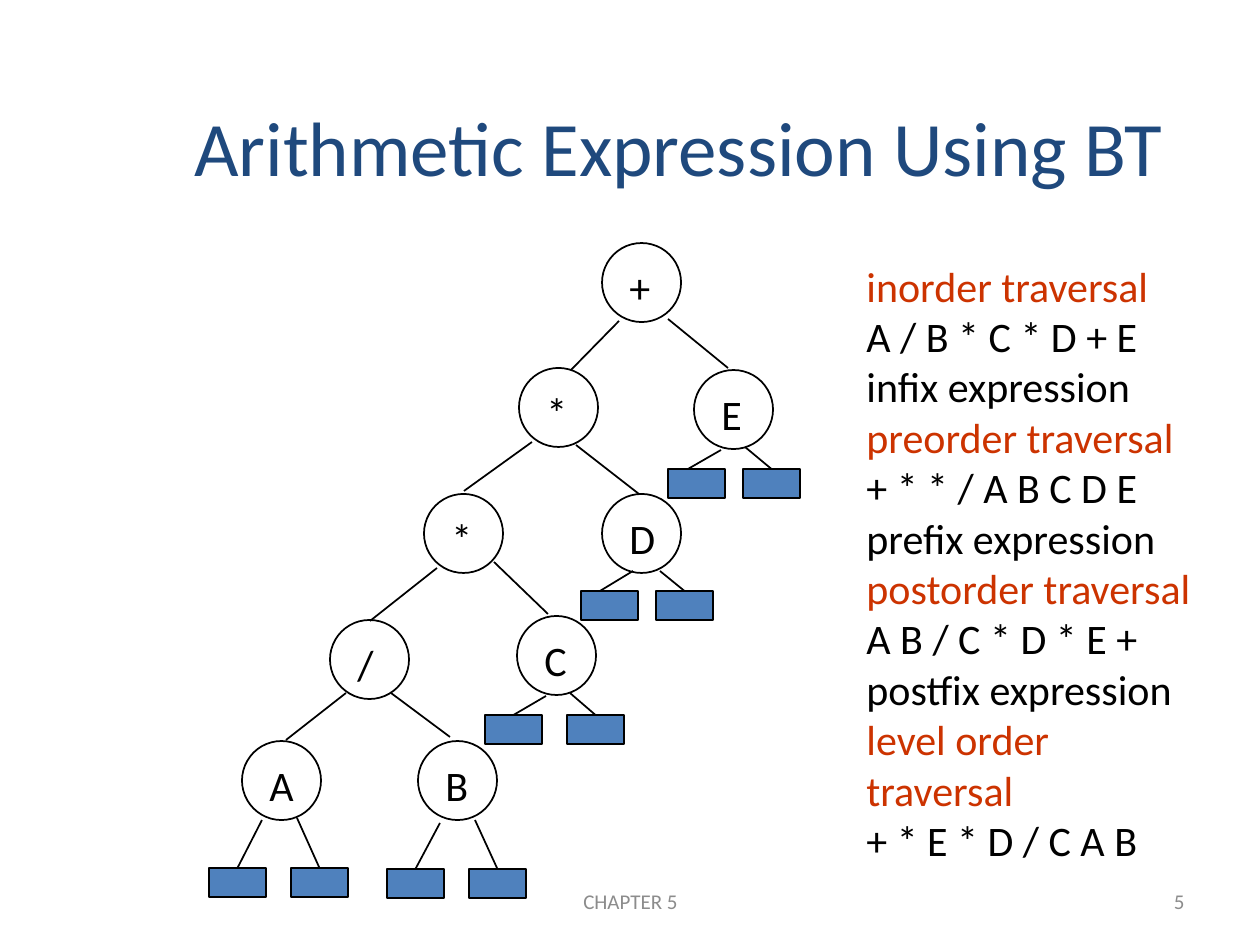
from lxml import etree
from pptx import Presentation
from pptx import util as u
from pptx.dml.color import RGBColor
from pptx.enum import shapes, text
from pptx.oxml.ns import qn

PX = 914400 / 126
BLACK = RGBColor(0x00, 0x00, 0x00)
BLUE = RGBColor(0x4F, 0x81, 0xBD)
NAVY = RGBColor(0x1F, 0x49, 0x7D)
RED = RGBColor(0xCC, 0x33, 0x00)
GRAY = RGBColor(0x8C, 0x8C, 0x8C)
LEFT, CENTER, RIGHT = (text.PP_ALIGN.LEFT, text.PP_ALIGN.CENTER,
                       text.PP_ALIGN.RIGHT)

NODE = 79
LEAF_W, LEAF_H = 57, 29

# label, left, top, width of the label box
NODES = [
    ("+", 602, 243, 49), ("*", 519, 368, 47), ("A", 242, 741, 55),
    ("*", 424, 494, 47), ("/", 330, 620, 37), ("E", 694, 370, 50),
    ("D", 602, 494, 55), ("C", 517, 616, 53), ("B", 418, 741, 53),
]

# x, y at the parent, then x, y at the child
EDGES = [
    (619, 321, 571, 370), (346, 693, 286, 740), (532, 442, 464, 491),
    (437, 568, 370, 621), (668, 319, 728, 368), (576, 445, 639, 494),
    (494, 562, 548, 614), (391, 693, 450, 737),
]

# left, top, x and y of the edge's start, x of its end (None: middle of the top)
LEAVES = [
    (209, 868, 262, 820, None), (291, 868, 297, 818, None),
    (387, 869, 440, 823, None), (469, 869, 475, 820, None),
    (485, 715, 546, 696, None), (567, 715, 570, 693, None),
    (581, 591, 633, 571, 600), (656, 591, 660, 571, None),
    (668, 469, 721, 450, 688), (743, 469, 745, 447, None),
]

TRAVERSALS = [
    ("inorder traversal", RED),
    ("A / B * C * D + E", BLACK),
    ("infix expression", BLACK),
    ("preorder traversal", RED),
    ("+ * * / A B C D E", BLACK),
    ("prefix expression", BLACK),
    ("postorder traversal", RED),
    ("A B / C * D * E +", BLACK),
    ("postfix expression", BLACK),
    ("level order traversal", RED),
    ("+ * E * D / C A B", BLACK),
]


def emu(*lengths):
    return [u.Emu(round(n * PX)) for n in lengths]


def add_text(parent, box, lines, size, align=LEFT,
             anchor=text.MSO_ANCHOR.TOP, wrap=True):
    """Text box with one paragraph for each (string, colour) line."""
    tf = parent.add_textbox(*emu(*box)).text_frame
    tf.word_wrap = wrap
    tf.vertical_anchor = anchor
    for i, (string, color) in enumerate(lines):
        p = tf.add_paragraph() if i else tf.paragraphs[0]
        p.alignment = align
        r = p.add_run()
        r.text = string
        r.font.name = "Calibri"
        r.font.size = u.Pt(size)
        r.font.color.rgb = color


def add_outlined(parent, kind, box, fill=None):
    sp = parent.add_shape(kind, *emu(*box))
    sp.shadow.inherit = False
    if fill is None:
        sp.fill.background()
    else:
        sp.fill.solid()
        sp.fill.fore_color.rgb = fill
    sp.line.color.rgb = BLACK
    sp.line.width = u.Pt(1)
    return sp


def add_line(parent, *ends):
    line = parent.add_connector(shapes.MSO_CONNECTOR.STRAIGHT, *emu(*ends))
    line.line.color.rgb = BLACK
    line.line.width = u.Pt(1)
    etree.SubElement(line._element.spPr, qn("a:effectLst"))
    return line


def add_node(parent, label, left, top, label_width):
    group = parent.add_group_shape().shapes
    add_outlined(group, shapes.MSO_SHAPE.OVAL, (left, top, NODE, NODE))
    add_text(group, (left + 15, top + 12, label_width, 63),
             [(label, BLACK)], 24, wrap=False)


def add_leaf(parent, left, top, x, y, end_x):
    leaf = add_outlined(parent, shapes.MSO_SHAPE.RECTANGLE,
                        (left, top, LEAF_W, LEAF_H), BLUE)
    line = add_line(parent, x, y, end_x or left + LEAF_W / 2, top)
    if end_x is None:
        line.end_connect(leaf, 0)


def main():
    prs = Presentation()
    prs.slide_width, prs.slide_height = emu(1260, 945)
    s = prs.slides.add_slide(prs.slide_layouts[6]).shapes
    middle = text.MSO_ANCHOR.MIDDLE

    # Footer and title
    add_text(s, (431, 876, 399, 50), [("CHAPTER 5", GRAY)], 12, CENTER, middle)
    add_text(s, (903, 876, 294, 50), [("5", GRAY)], 12, RIGHT, middle)
    add_text(s, (48, 67, 1262, 157),
             [("Arithmetic Expression Using BT", NAVY)], 44, CENTER, middle)

    # Expression tree
    for node in NODES:
        add_node(s, *node)
    for edge in EDGES:
        add_line(s, *edge)
    for leaf in LEAVES:
        add_leaf(s, *leaf)

    # Traversal list
    add_text(s, (854, 254, 360, 566), TRAVERSALS, 24)

    prs.save("out.pptx")


if __name__ == "__main__":
    main()
